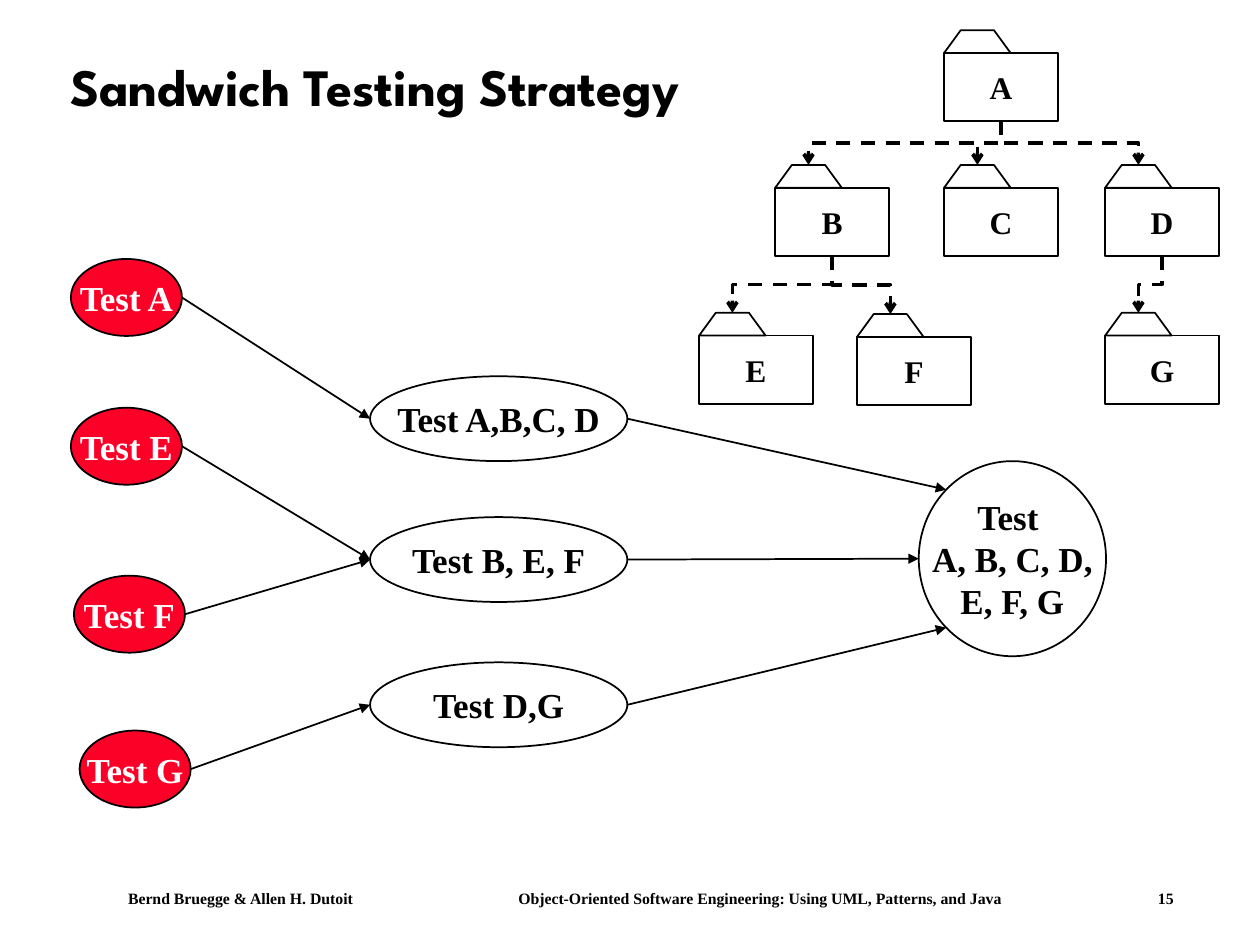
from math import cos, pi, sin

from lxml import etree
from pptx import Presentation
from pptx.dml.color import RGBColor
from pptx.enum.dml import MSO_LINE
from pptx.enum.shapes import MSO_CONNECTOR, MSO_SHAPE
from pptx.enum.text import MSO_ANCHOR, PP_ALIGN
from pptx.oxml.ns import qn
from pptx.util import Pt

BLACK = RGBColor(0x00, 0x00, 0x00)
WHITE = RGBColor(0xFF, 0xFF, 0xFF)
RED = RGBColor(0xFC, 0x01, 0x28)
SERIF = "Times New Roman"
TITLE_FONT = "League Spartan"
STRAIGHT, ELBOW = MSO_CONNECTOR.STRAIGHT, MSO_CONNECTOR.ELBOW
OVAL, RECTANGLE = MSO_SHAPE.OVAL, MSO_SHAPE.RECTANGLE
MIDDLE, CENTER, LEFT = MSO_ANCHOR.MIDDLE, PP_ALIGN.CENTER, PP_ALIGN.LEFT
DASH = MSO_LINE.DASH

presentation = Presentation()
presentation.slide_width, presentation.slide_height = Pt(720), Pt(540)
slide = presentation.slides.add_slide(presentation.slide_layouts[6])
shapes = slide.shapes


def write(shape, lines, size, color=BLACK, font=SERIF, align=CENTER, wrap=False):
    """Fill a shape with bold text, one paragraph for each line."""
    frame = shape.text_frame
    frame.word_wrap = wrap
    frame.vertical_anchor = MIDDLE
    for index, line in enumerate(lines):
        paragraph = frame.add_paragraph() if index else frame.paragraphs[0]
        paragraph.alignment = align
        run = paragraph.add_run()
        run.text = line
        run.font.name, run.font.size, run.font.bold = font, Pt(size), True
        run.font.color.rgb = color


def add_arrow(kind, start, end, width, head):
    """Draw a black connector with an arrowhead at its end."""
    arrow = shapes.add_connector(kind, *(Pt(value) for value in (*start, *end)))
    arrow.line.color.rgb = BLACK
    arrow.line.width = Pt(width)
    etree.SubElement(arrow.line._get_or_add_ln(), qn("a:tailEnd"), type=head)
    etree.SubElement(arrow._element.spPr, qn("a:effectLst"))
    return arrow


# Footer, its three parts set apart by tab stops
footer = shapes.add_textbox(Pt(41.75), Pt(504), Pt(660), Pt(18))
footer.text_frame.margin_left = Pt(31.4)
properties = footer.text_frame.paragraphs[0]._p.get_or_add_pPr()
tab_list = etree.SubElement(properties, qn("a:tabLst"))
for position in (223, 588.5):
    etree.SubElement(tab_list, qn("a:tab"), pos=str(Pt(position)), algn="l")
footer_text = "\t".join((
    "Bernd Bruegge & Allen H. Dutoit",
    "Object-Oriented Software Engineering: Using UML, Patterns, and Java",
    "15",
))
write(footer, [footer_text], 9, align=LEFT, wrap=True)

title = shapes.add_textbox(Pt(33), Pt(17.25), Pt(642), Pt(67.75))
write(title, ["Sandwich Testing Strategy"], 30, font=TITLE_FONT, align=LEFT, wrap=True)
title.text_frame.paragraphs[0].line_spacing = 0.9

# Tests: lines of text, left, top, width, height, fill
UNIT, GROUP = (63.5, 44, RED), (147, 48.5, None)
tests = {
    "A": (["Test A"], 40.5, 148, *UNIT),
    "E": (["Test E"], 40.5, 233, *UNIT),
    "F": (["Test F"], 42.25, 329, *UNIT),
    "G": (["Test G"], 45.5, 417.5, *UNIT),
    "ABCD": (["Test A,B,C, D"], 211.5, 215, *GROUP),
    "BEF": (["Test B, E, F"], 211.5, 295.5, *GROUP),
    "DG": (["Test D,G"], 211.5, 378.5, *GROUP),
    "ALL": (["Test ", "A, B, C, D,", "E, F, G"], 525, 263.5, 107, 111.5, None),
}
for lines, left, top, width, height, fill in tests.values():
    oval = shapes.add_shape(OVAL, Pt(left), Pt(top), Pt(width), Pt(height))
    oval.shadow.inherit = False
    oval.line.color.rgb = BLACK
    oval.line.width = Pt(1)
    if fill:
        oval.fill.solid()
        oval.fill.fore_color.rgb = fill
    else:
        oval.fill.background()
    write(oval, lines, 20, WHITE if fill else BLACK)

# Arrows leave at the right and enter on the left, at an angle above the middle
test_steps = [
    ("A", "ABCD", 0), ("E", "BEF", 0), ("F", "BEF", 0), ("G", "DG", 0),
    ("ABCD", "ALL", pi / 4), ("BEF", "ALL", 0), ("DG", "ALL", -pi / 4),
]
for source, target, angle in test_steps:
    _, left, top, width, height, _ = tests[source]
    start = left + width, top + height / 2
    _, left, top, width, height, _ = tests[target]
    end = left + width / 2 * (1 - cos(angle)), top + height / 2 * (1 - sin(angle))
    add_arrow(STRAIGHT, start, end, 1, "triangle")

# Packages: left and top of each folder body
FOLDER_WIDTH, FOLDER_HEIGHT = 65, 39
TAB_WIDTH, TAB_HEIGHT, TAB_SLANT = 38, 13, 9.5
folders = {
    "A": (539.5, 30.25), "E": (399.5, 191.75), "F": (489.75, 192.5),
    "B": (443, 107.25), "C": (539.5, 107.25), "D": (631.5, 107.25),
    "G": (631.5, 191.75),
}

# Elbows run from a folder's bottom to a tab's top, turned to start downwards
for source, target in ("AB", "BE", "BF", "DG", "AC", "AD"):
    start_x = folders[source][0] + FOLDER_WIDTH / 2
    start_y = folders[source][1] + FOLDER_HEIGHT
    end_x = folders[target][0] + TAB_WIDTH / 2
    end_y = folders[target][1] - TAB_HEIGHT
    center_x, center_y = (start_x + end_x) / 2, (start_y + end_y) / 2
    half_drop, half_shift = (end_y - start_y) / 2, abs(end_x - start_x) / 2
    elbow = add_arrow(
        ELBOW,
        (center_x - half_drop, center_y - half_shift),
        (center_x + half_drop, center_y + half_shift),
        2, "arrow",
    )
    elbow.line.dash_style = DASH
    transform = elbow._element.spPr.find(qn("a:xfrm"))
    if end_x > start_x:
        transform.set("rot", "16200000")
        transform.set("flipH", "1")
    else:
        transform.set("rot", "5400000")

for name, (left, top) in folders.items():
    body = shapes.add_shape(
        RECTANGLE, Pt(left), Pt(top), Pt(FOLDER_WIDTH), Pt(FOLDER_HEIGHT))
    write(body, [name], 18)
    builder = shapes.build_freeform(Pt(left), Pt(top))
    builder.add_line_segments([
        (Pt(left + TAB_SLANT), Pt(top - TAB_HEIGHT)),
        (Pt(left + TAB_WIDTH - TAB_SLANT), Pt(top - TAB_HEIGHT)),
        (Pt(left + TAB_WIDTH), Pt(top)),
    ])
    for part in (body, builder.convert_to_shape()):
        part.shadow.inherit = False
        part.fill.solid()
        part.fill.fore_color.rgb = WHITE
        part.line.color.rgb = BLACK
        part.line.width = Pt(1)

presentation.save("out.pptx")
